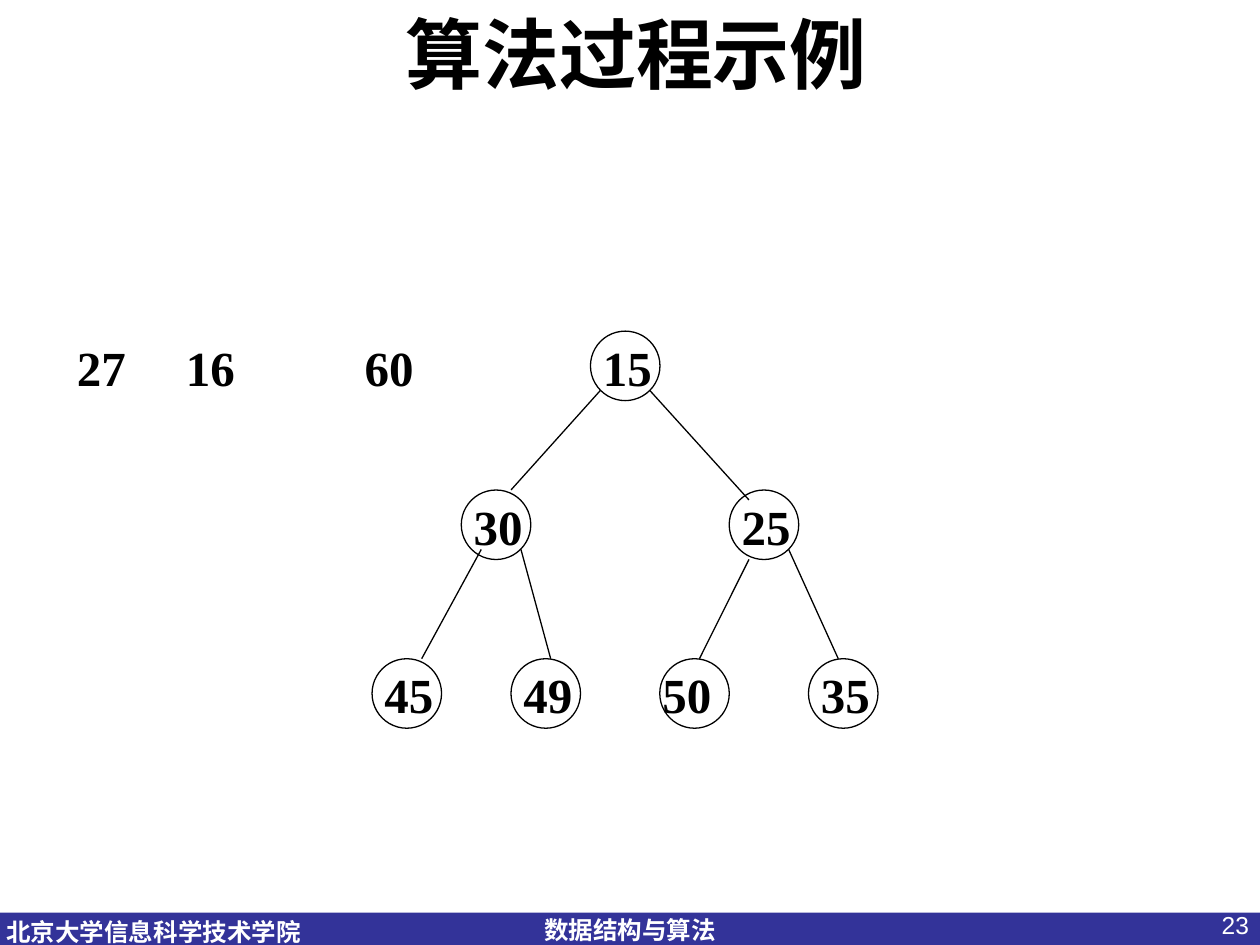
from lxml import etree
from pptx import Presentation
from pptx.dml.color import RGBColor
from pptx.enum.shapes import MSO_CONNECTOR, MSO_SHAPE
from pptx.enum.text import MSO_ANCHOR, PP_ALIGN
from pptx.oxml.ns import qn
from pptx.util import Pt

LEFT, CENTER, RIGHT = PP_ALIGN.LEFT, PP_ALIGN.CENTER, PP_ALIGN.RIGHT
TOP, MIDDLE = MSO_ANCHOR.TOP, MSO_ANCHOR.MIDDLE
C = {"black": "000000", "white": "FFFFFF", "bar": "333399"}
CJK = "Noto Sans CJK SC"
DIAMETER = 39.7

prs = Presentation()
prs.slide_width, prs.slide_height = Pt(720), Pt(540)
s = prs.slides.add_slide(prs.slide_layouts[6])


def add_text(text, x, y, w, h, size, font, color, bold=True, align=LEFT,
             anchor=TOP, inset=7.2):
    tf = s.shapes.add_textbox(Pt(x), Pt(y), Pt(w), Pt(h)).text_frame
    tf.word_wrap, tf.vertical_anchor = True, anchor
    tf.margin_left = Pt(inset)
    tf.text = text
    p = tf.paragraphs[0]
    p.alignment = align
    r = p.runs[0]
    r.font.size, r.font.name, r.font.bold = Pt(size), font, bold
    r.font.color.rgb = RGBColor.from_string(C[color])
    etree.SubElement(r.font._element, qn("a:ea")).set("typeface", CJK)


# Footer bar
sp = s.shapes.add_shape(MSO_SHAPE.RECTANGLE, Pt(0), Pt(521.5), Pt(720), Pt(20))
sp.shadow.inherit = False
sp.fill.solid()
sp.fill.fore_color.rgb = RGBColor.from_string(C["bar"])
sp.line.fill.background()
add_text("北京大学信息科学技术学院", 3.6, 520.5, 190, 24.5, 14, "Arial", "white", inset=0)
add_text("数据结构与算法", 311, 519.3, 120, 24.5, 14, "Arial", "white", inset=0)

# Title
add_text("算法过程示例", 7.2, 0, 712.8, 60, 44, CJK, "black",
         align=CENTER, anchor=MIDDLE)

# Heap nodes: value -> left, top
ROWS = [189.2, 280, 376.4]
nodes = {
    "15": (337.4, ROWS[0]),
    "30": (263.6, ROWS[1]), "25": (416.7, ROWS[1]),
    "45": (212.6, ROWS[2]), "49": (292, ROWS[2]),
    "50": (377, ROWS[2]), "35": (462, ROWS[2]),
}
for x, y in nodes.values():
    sp = s.shapes.add_shape(MSO_SHAPE.OVAL, Pt(x), Pt(y), Pt(DIAMETER), Pt(DIAMETER))
    sp.shadow.inherit = False
    sp.fill.solid()
    sp.fill.fore_color.rgb = RGBColor.from_string(C["white"])
    sp.line.color.rgb = RGBColor.from_string(C["black"])
    sp.line.width = Pt(0.75)

# Edges from parent to child
edges = [
    (343, 223.2, 292, 280), (371.4, 223.2, 428, 285.7),
    (275, 314, 241, 376.4), (297.7, 314, 314.7, 376.4),
    (428, 319.7, 399.7, 376.4), (450.7, 314, 479, 376.4),
]
for x1, y1, x2, y2 in edges:
    line = s.shapes.add_connector(MSO_CONNECTOR.STRAIGHT, Pt(x1), Pt(y1), Pt(x2), Pt(y2))
    line.line.color.rgb = RGBColor.from_string(C["black"])
    line.line.width = Pt(0.75)
    etree.SubElement(line._element.spPr, qn("a:effectLst"))

# Values in the nodes, then the values left outside the heap
labels = {**nodes, "50": (371.4, ROWS[2]),
          "60": (201.3, ROWS[0]), "16": (99.2, ROWS[0]), "27": (36.9, ROWS[0])}
for value, (x, y) in labels.items():
    add_text(value, x, y, 45.4, 41, 28, "Times New Roman", "black")

# Slide number
add_text("23", 553, 516.2, 167.8, 37.4, 14, "Arial", "white", bold=False, align=RIGHT)

prs.save("out.pptx")
